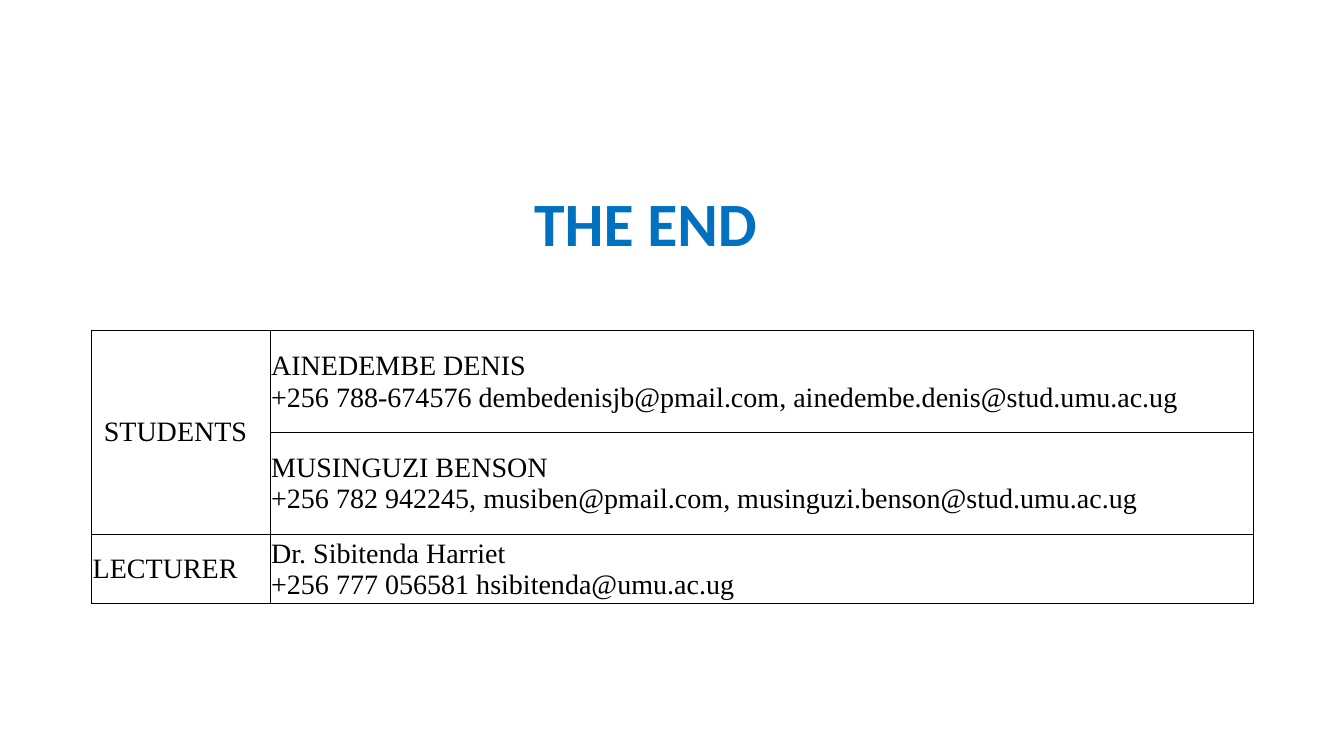
import pptx
import pptx.util
import pptx.dml.color
import pptx.enum.text
import pptx.oxml
from pptx.util import Inches

COLORS = {"title": "0070C0", "text": "000000", "border": "000000"}
TITLE_FORMAT = {"name": "Calibri", "size": pptx.util.Pt(44), "bold": True}
CELL_FORMAT = {"name": "Times New Roman", "size": pptx.util.Pt(20), "bold": False}
MIDDLE = pptx.enum.text.MSO_ANCHOR.MIDDLE
WIDE_MARGINS = (0.12, 0.06, 0.12, 0.06)
TIGHT_MARGINS = (0.01, 0.01, 0.01, 0)
COLUMN_WIDTHS = (1.77, 9.75)
ROW_HEIGHTS = (1.01, 1.01, 0.69)
CONTACTS = [
    ("STUDENTS", ["AINEDEMBE DENIS",
                  "+256 788-674576 dembedenisjb@pmail.com, ainedembe.denis@stud.umu.ac.ug"]),
    ("", ["MUSINGUZI BENSON",
          "+256 782 942245, musiben@pmail.com, musinguzi.benson@stud.umu.ac.ug"]),
    ("LECTURER", ["Dr. Sibitenda Harriet",
                  "+256 777 056581 hsibitenda@umu.ac.ug"]),
]


def write_lines(para, lines, font_format, color):
    for index, line in enumerate(lines):
        if index:
            para.add_line_break()
        span = para.add_run()
        span.text = line
        for name, value in font_format.items():
            setattr(span.font, name, value)
        span.font.color.rgb = pptx.dml.color.RGBColor.from_string(COLORS[color])


def add_title(page, text):
    box = page.shapes.add_textbox(Inches(5.2), Inches(1.85), Inches(2.45), Inches(0.8))
    box.text_frame.word_wrap = True
    box.text_frame.vertical_anchor = MIDDLE
    para = box.text_frame.paragraphs[0]
    para.line_spacing = 0.9
    write_lines(para, [text], TITLE_FORMAT, "title")


def add_borders(cell):
    properties = cell._tc.get_or_add_tcPr()
    for index, side in enumerate(("lnL", "lnR", "lnT", "lnB")):
        border = pptx.oxml.parse_xml(
            f'<a:{side} xmlns:a="http://schemas.openxmlformats.org/drawingml/2006/main" '
            f'w="{pptx.util.Pt(0.5)}"><a:solidFill><a:srgbClr val="{COLORS["border"]}"/>'
            f'</a:solidFill></a:{side}>')
        properties.insert(index, border)


def format_cell(cell, lines, margins):
    cell.fill.background()
    add_borders(cell)
    cell.vertical_anchor = MIDDLE
    for side, margin in zip(("left", "top", "right", "bottom"), margins):
        setattr(cell, f"margin_{side}", Inches(margin))
    if any(lines):
        write_lines(cell.text_frame.paragraphs[0], lines, CELL_FORMAT, "text")


def add_contact_table(page):
    frame = page.shapes.add_table(
        len(ROW_HEIGHTS), len(COLUMN_WIDTHS), Inches(0.91), Inches(3.28),
        Inches(sum(COLUMN_WIDTHS)), Inches(sum(ROW_HEIGHTS)))
    table = frame.table
    table.first_row = False
    table.horz_banding = False
    for column, width in zip(table.columns, COLUMN_WIDTHS):
        column.width = Inches(width)
    for row, height in zip(table.rows, ROW_HEIGHTS):
        row.height = Inches(height)
    for index, (role, details) in enumerate(CONTACTS):
        role_margins = WIDE_MARGINS if role == "STUDENTS" else TIGHT_MARGINS
        format_cell(table.cell(index, 0), [role], role_margins)
        format_cell(table.cell(index, 1), details, TIGHT_MARGINS)
    table.cell(0, 0).merge(table.cell(1, 0))


def main():
    deck = pptx.Presentation()
    deck.slide_width = Inches(13.33)
    deck.slide_height = Inches(7.5)
    page = deck.slides.add_slide(deck.slide_layouts[6])
    add_title(page, "THE END")
    add_contact_table(page)
    deck.save("out.pptx")


if __name__ == "__main__":
    main()
